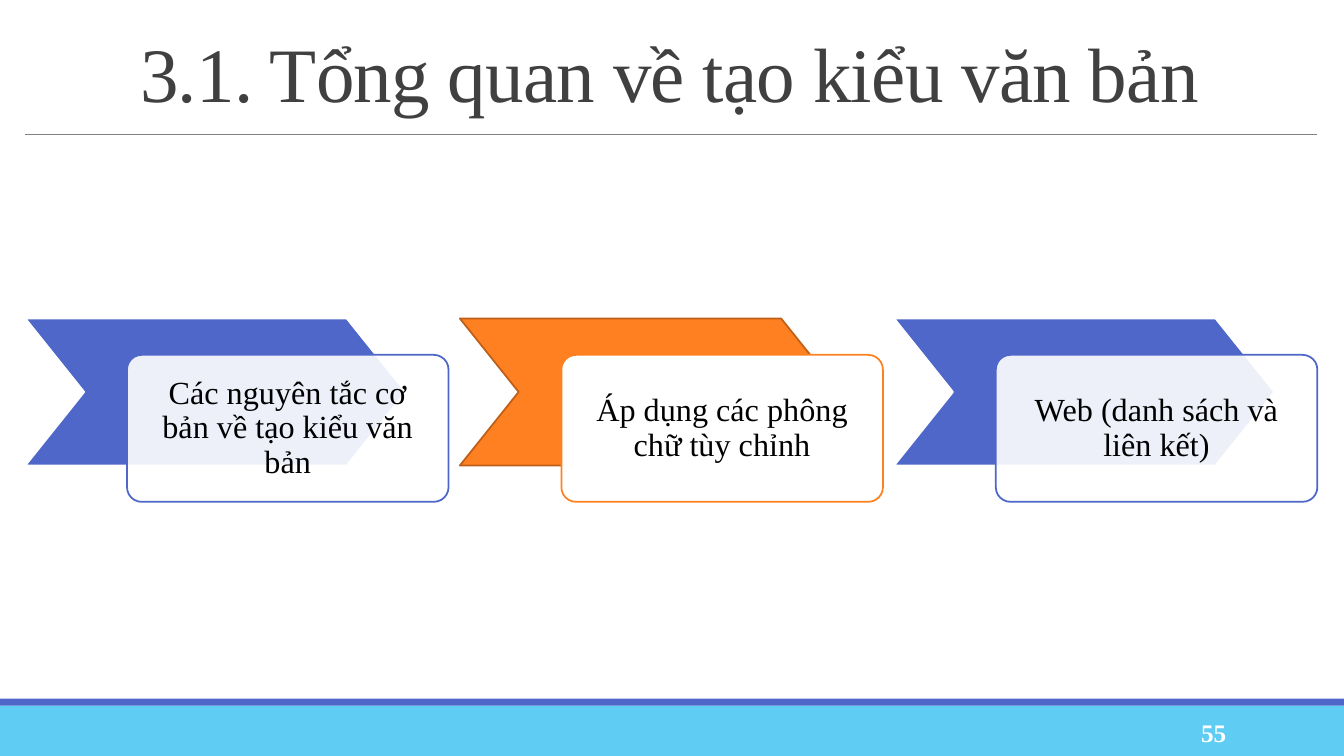
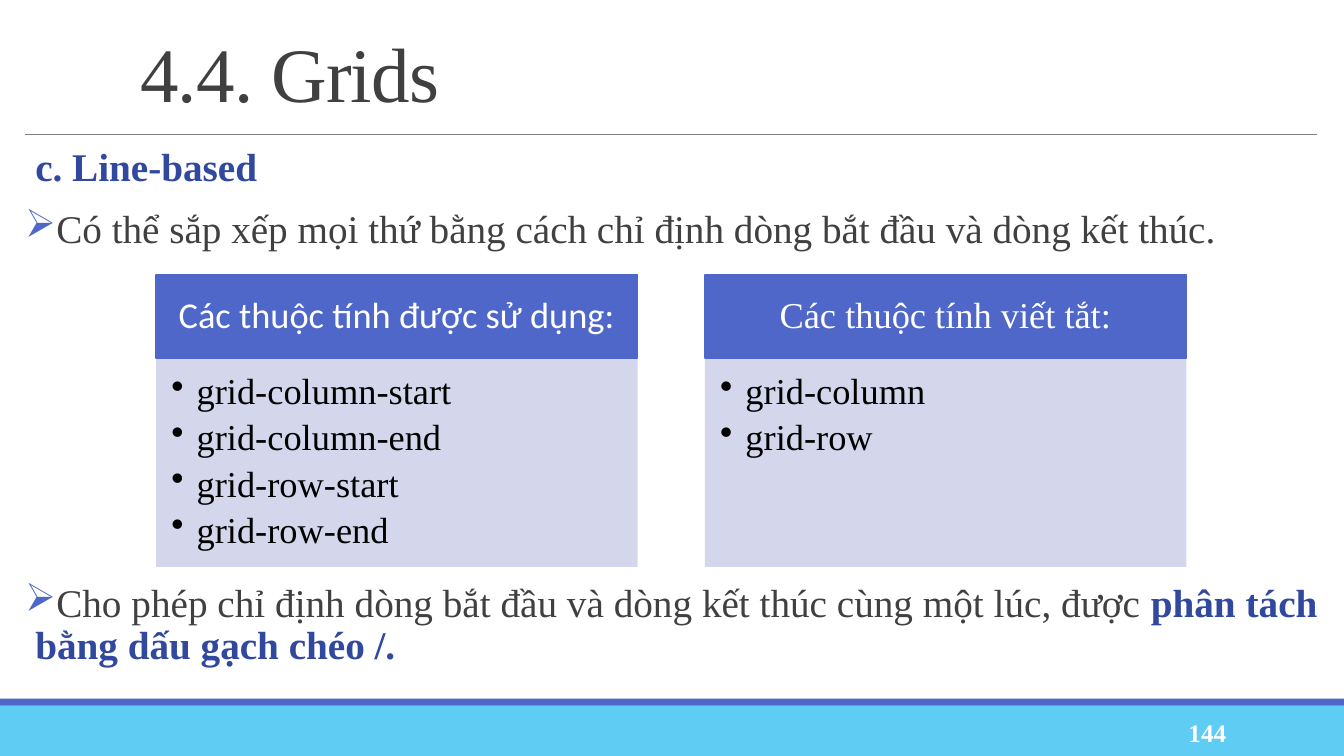
from dataclasses import dataclass

from lxml import etree
from pptx import Presentation
from pptx.dml.color import RGBColor
from pptx.enum import shapes, text
from pptx.oxml.ns import qn
from pptx.util import Pt


@dataclass(frozen=True)
class Theme:
    blue: str = "4E67C8"
    deep_blue: str = "31489F"
    sky: str = "5ECCF3"
    orange: str = "FF8021"
    dark_orange: str = "BD5F18"
    panel: str = "D0D3EB"
    white: str = "FFFFFF"
    black: str = "000000"
    ink: str = "404040"
    rule: str = "808080"
    serif: str = "Times New Roman"
    sans: str = "Calibri"
    title_size: int = 55
    body_size: int = 28
    panel_size: int = 26
    step_size: int = 23
    number_size: int = 18


theme = Theme()
kinds = shapes.MSO_SHAPE
align = text.PP_ALIGN
anchors = text.MSO_ANCHOR


def draw(slide, kind, box, fill, line=None, opacity=100):
    """Add a preset shape; box is left, top, width, height in points."""
    shape = slide.shapes.add_shape(kind, *map(Pt, box))
    shape.shadow.inherit = False
    shape.fill.solid()
    shape.fill.fore_color.rgb = RGBColor.from_string(fill)
    if opacity < 100:
        color = shape._element.spPr.find(qn("a:solidFill")).find(qn("a:srgbClr"))
        etree.SubElement(color, qn("a:alpha")).set("val", str(opacity * 1000))
    if line:
        shape.line.color.rgb = RGBColor.from_string(line)
        shape.line.width = Pt(1.25)
    else:
        shape.line.fill.background()
    return shape


def write(shape, content, accent="", *, size, color, font=theme.serif, bold=False,
          alignment=align.LEFT, anchor=anchors.TOP, insets=(7.2, 3.6, 7.2, 3.6),
          line_spacing=0.9, before=0, after=0, margin=0, indent=0,
          bullet=None, bullet_color=None, tracking=0):
    """Append one paragraph, with an optional highlighted ending."""
    frame = shape.text_frame
    frame.word_wrap = True
    frame.vertical_anchor = anchor
    (frame.margin_left, frame.margin_top,
     frame.margin_right, frame.margin_bottom) = map(Pt, insets)
    paragraph = frame.paragraphs[0] if not frame.text else frame.add_paragraph()
    paragraph.alignment = alignment
    paragraph.line_spacing = line_spacing
    paragraph.space_before = Pt(before)
    paragraph.space_after = Pt(after)
    properties = paragraph._p.get_or_add_pPr()
    properties.set("marL", str(Pt(margin)))
    properties.set("indent", str(Pt(indent)))
    if bullet:
        bullet_fill = etree.SubElement(properties, qn("a:buClr"))
        etree.SubElement(bullet_fill, qn("a:srgbClr")).set("val", bullet_color or color)
        etree.SubElement(properties, qn("a:buChar")).set("char", bullet)
    for words, tone, heavy in ((content, color, bold), (accent, theme.deep_blue, True)):
        if words:
            run = paragraph.add_run()
            run.text = words
            run.font.name = font
            run.font.size = Pt(size)
            run.font.bold = heavy
            run.font.color.rgb = RGBColor.from_string(tone)
            if tracking:
                run._r.get_or_add_rPr().set("spc", str(int(tracking * 100)))


presentation = Presentation()
presentation.slide_width = Pt(960)
presentation.slide_height = Pt(540)

# Shared frame: bands, rule, title, page number
slides = []
for title, number in (("3.1. Tổng quan về tạo kiểu văn bản", "55"), ("4.4. Grids", "144")):
    slide = presentation.slides.add_slide(presentation.slide_layouts[6])
    slides.append(slide)
    draw(slide, kinds.RECTANGLE, (0, 504, 960, 36), theme.sky)
    draw(slide, kinds.RECTANGLE, (0, 499, 960, 5), theme.blue)
    rule = slide.shapes.add_connector(shapes.MSO_CONNECTOR.STRAIGHT,
                                      Pt(18), Pt(96), Pt(941), Pt(96))
    rule.line.color.rgb = RGBColor.from_string(theme.rule)
    rule.line.width = Pt(0.5)
    etree.SubElement(rule._element.spPr, qn("a:effectLst"))
    title_box = slide.shapes.add_textbox(Pt(93), Pt(22), Pt(848), Pt(69))
    write(title_box, title, size=theme.title_size, color=theme.ink,
          anchor=anchors.MIDDLE, line_spacing=0.85, tracking=-0.5)
    number_box = slide.shapes.add_textbox(Pt(780), Pt(508.5), Pt(103), Pt(29))
    write(number_box, number, size=theme.number_size, color=theme.white, bold=True,
          alignment=align.RIGHT, anchor=anchors.MIDDLE, line_spacing=1.0)

overview, grids = slides

# Overview: three chevrons, each with a caption card
steps = (
    ("Các nguyên tắc cơ bản về tạo kiểu văn bản", theme.blue, theme.white, 90),
    ("Áp dụng các phông chữ tùy chỉnh", theme.orange, theme.dark_orange, 100),
    ("Web (danh sách và liên kết)", theme.blue, theme.white, 90),
)
for index, (caption, color, outline, opacity) in enumerate(steps):
    left = 18.2 + index * 310.3
    chevron = draw(overview, kinds.CHEVRON, (left, 227.5, 271.5, 105), color, outline)
    chevron.adjustments[0] = 0.4
    card = draw(overview, kinds.ROUNDED_RECTANGLE, (left + 72.5, 253.5, 229.7, 105),
                theme.white, color, opacity)
    card.adjustments[0] = 0.1
    write(card, caption, size=theme.step_size, color=theme.black,
          alignment=align.CENTER, anchor=anchors.MIDDLE, insets=(13, 13, 13, 13))

# Grids: body text above and below the panels
body_style = dict(size=theme.body_size, alignment=align.JUSTIFY,
                  insets=(0, 3.6, 0, 3.6), margin=7.2, after=2)
arrow_style = dict(color=theme.ink, indent=-7.2, bullet="➢", bullet_color=theme.blue)
intro = grids.shapes.add_textbox(Pt(18), Pt(102), Pt(923), Pt(86))
write(intro, "c. Line-based", color=theme.deep_blue, bold=True, **body_style)
write(intro, "Có thể sắp xếp mọi thứ bằng cách chỉ định dòng bắt đầu và dòng kết thúc.",
      before=12, **body_style, **arrow_style)
closing = grids.shapes.add_textbox(Pt(18), Pt(413), Pt(923), Pt(70))
write(closing, "Cho phép chỉ định dòng bắt đầu và dòng kết thúc cùng một lúc, được ",
      "phân tách bằng dấu gạch chéo /.", **body_style, **arrow_style)

# Grids: two panels of properties
panels = (
    ("Các thuộc tính được sử dụng:", theme.sans,
     ("grid-column-start", "grid-column-end", "grid-row-start", "grid-row-end")),
    ("Các thuộc tính viết tắt:", theme.serif, ("grid-column", "grid-row")),
)
for index, (heading, font, names) in enumerate(panels):
    left = 111.5 + index * 392
    panel = draw(grids, kinds.RECTANGLE, (left, 255.5, 344, 149.5), theme.panel, opacity=90)
    for name in names:
        write(panel, name, size=theme.panel_size, color=theme.black, after=5,
              insets=(11, 11, 14, 16), margin=18, indent=-18, bullet="•")
    header = draw(grids, kinds.RECTANGLE, (left, 196.5, 344, 59), theme.blue, theme.blue)
    write(header, heading, size=theme.panel_size, color=theme.white, font=font,
          alignment=align.CENTER, anchor=anchors.MIDDLE, insets=(14, 8, 14, 8))

presentation.save("out.pptx")
